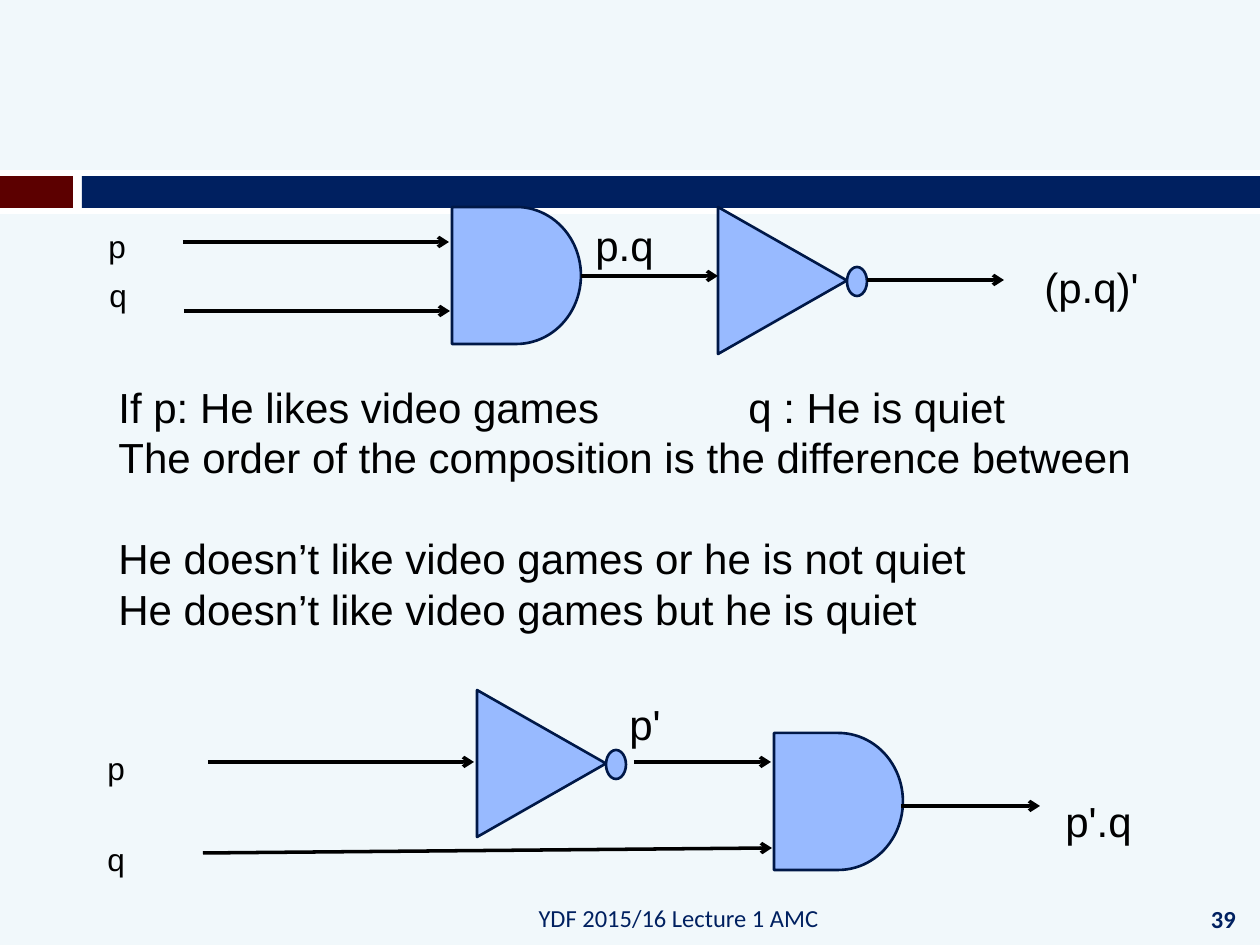
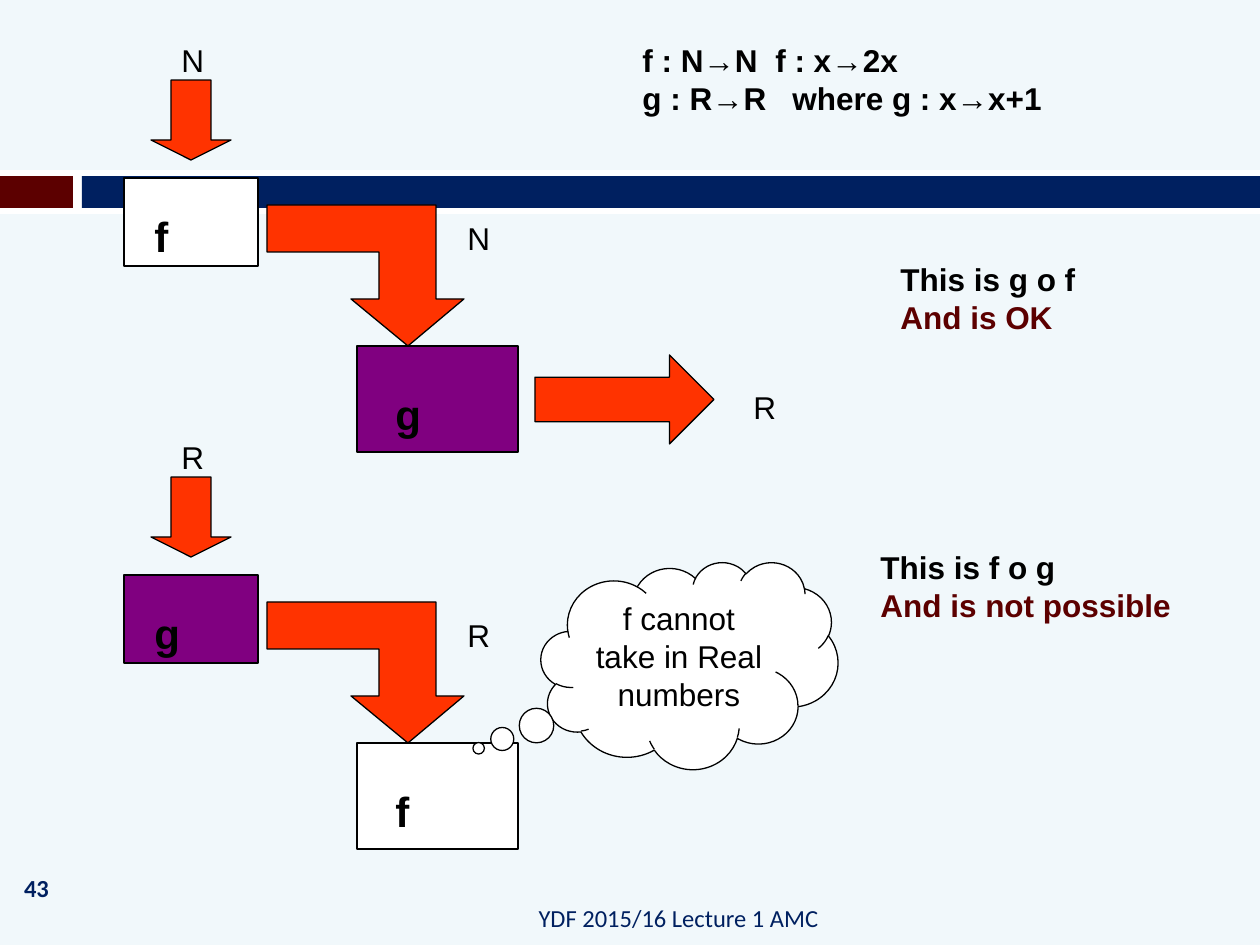
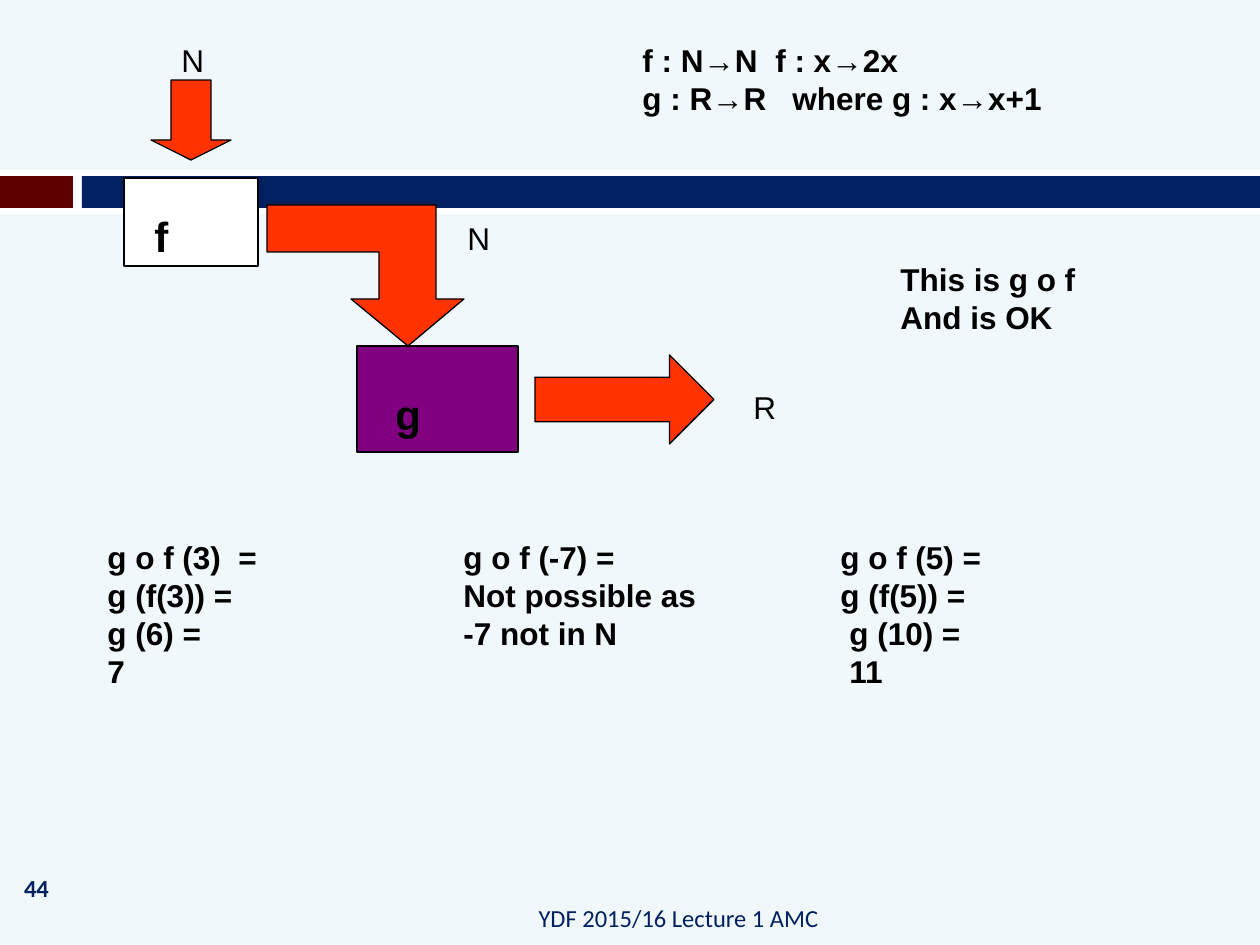
from dataclasses import dataclass

import lxml.etree
import pptx
import pptx.dml.color
import pptx.enum.shapes
import pptx.enum.text
import pptx.oxml.ns
import pptx.util

RGBColor = pptx.dml.color.RGBColor
SHAPE = pptx.enum.shapes.MSO_SHAPE
ALIGN = pptx.enum.text.PP_ALIGN
ANCHOR = pptx.enum.text.MSO_ANCHOR
qn = pptx.oxml.ns.qn

SCALE = 914400 / 126
SLIDE_WIDTH, SLIDE_HEIGHT = 1260, 945

BACKGROUND = RGBColor(0xF1, 0xF8, 0xFB)
WHITE = RGBColor(0xFF, 0xFF, 0xFF)
BLACK = RGBColor(0x00, 0x00, 0x00)
MAROON = RGBColor(0x5C, 0x00, 0x00)
NAVY = RGBColor(0x00, 0x20, 0x60)
GATE_FILL = RGBColor(0x98, 0xBA, 0xFF)
GATE_LINE = RGBColor(0x00, 0x18, 0x47)
PURPLE = RGBColor(0x80, 0x00, 0x80)
ORANGE = RGBColor(0xFF, 0x33, 0x00)

FOOTER = "YDF 2015/16 Lecture 1 AMC"
FUNCTION_FILLS = {"f": WHITE, "g": PURPLE}
ELBOW_POINTS = [(408, 346), (351, 299), (379, 299), (379, 252), (267, 252),
                (267, 205), (436, 205), (436, 299), (464, 299)]


@dataclass
class Line:
    text: str
    tabs: tuple = ()
    space_before: int = 0
    indent: int = 0
    color: RGBColor = BLACK


def px(length):
    return pptx.util.Emu(round(length * SCALE))


def box(left, top, width, height):
    return px(left), px(top), px(width), px(height)


def write_lines(frame, lines, size, bold=False, font="Arial", align=ALIGN.LEFT):
    frame.word_wrap = True
    for index, line in enumerate(lines):
        if isinstance(line, str):
            line = Line(line)
        paragraph = frame.paragraphs[0] if index == 0 else frame.add_paragraph()
        paragraph.text = line.text
        paragraph.alignment = align
        properties = paragraph._p.get_or_add_pPr()
        if line.indent:
            properties.set("marL", str(px(line.indent)))
        if line.tabs:
            tab_list = lxml.etree.SubElement(properties, qn("a:tabLst"))
            for stop in line.tabs:
                lxml.etree.SubElement(tab_list, qn("a:tab"), pos=str(px(stop)), algn="l")
        if line.space_before:
            paragraph.space_before = pptx.util.Pt(line.space_before)
        paragraph.font.name = font
        paragraph.font.size = pptx.util.Pt(size)
        paragraph.font.bold = bold
        paragraph.font.color.rgb = line.color


def add_text(slide, bounds, lines, size=18, **style):
    frame = slide.shapes.add_textbox(*box(*bounds)).text_frame
    write_lines(frame, lines, size, **style)
    return frame


def paint(shape, fill, outline=None, width=0.75):
    shape.shadow.inherit = False
    shape.fill.solid()
    shape.fill.fore_color.rgb = fill
    if outline is None:
        shape.line.fill.background()
    else:
        shape.line.color.rgb = outline
        shape.line.width = pptx.util.Pt(width)


def add_shape(slide, kind, bounds, fill, outline=BLACK, width=0.75, adjustments=()):
    shape = slide.shapes.add_shape(kind, *box(*bounds))
    paint(shape, fill, outline, width)
    for index, value in enumerate(adjustments):
        shape.adjustments[index] = value
    return shape


def add_wire(slide, start_x, start_y, end_x, end_y):
    wire = slide.shapes.add_connector(
        pptx.enum.shapes.MSO_CONNECTOR.STRAIGHT,
        px(start_x), px(start_y), px(end_x), px(end_y))
    wire.line.color.rgb = BLACK
    wire.line.width = pptx.util.Pt(2)
    lxml.etree.SubElement(wire.line._get_or_add_ln(), qn("a:tailEnd"), type="arrow")
    lxml.etree.SubElement(wire._element.spPr, qn("a:effectLst"))


def add_gate_part(slide, kind, bounds):
    return add_shape(slide, kind, bounds, GATE_FILL, GATE_LINE, 1.5)


def add_and_gate(slide, left, top):
    add_gate_part(slide, SHAPE.FLOWCHART_DELAY, (left, top, 129, 137))


def add_not_gate(slide, left, top):
    triangle = add_gate_part(slide, SHAPE.FLOWCHART_EXTRACT, (left - 9, top + 9, 147, 129))
    triangle.rotation = 90
    add_gate_part(slide, SHAPE.OVAL, (left + 129, top + 60, 20, 29))


def add_footer_text(slide, bounds, text, bold, align):
    frame = add_text(slide, bounds, [Line(text, color=NAVY)], size=14,
                     bold=bold, font="Calibri", align=align)
    frame.vertical_anchor = ANCHOR.MIDDLE


def add_base_slide(presentation, number, number_left=0, number_top=861):
    slide = presentation.slides.add_slide(presentation.slide_layouts.get_by_name("Blank"))
    for bounds, fill in [((0, 170, SLIDE_WIDTH, 44), WHITE),
                         ((0, 176, 73, 32), MAROON),
                         ((82, 176, 1178, 32), NAVY)]:
        add_shape(slide, SHAPE.RECTANGLE, bounds, fill, outline=None)
    add_footer_text(slide, (84, 893, 747, 50), FOOTER, False, ALIGN.RIGHT)
    add_footer_text(slide, (number_left, number_top, 73, 53), str(number), True, ALIGN.CENTER)
    return slide


def add_elbow_arrow(slide, top):
    points = [(x, y + top) for x, y in ELBOW_POINTS]
    builder = slide.shapes.build_freeform(*points[0], scale=SCALE)
    builder.add_line_segments(points[1:], close=True)
    paint(builder.convert_to_shape(), ORANGE, BLACK)


def add_composition(slide, top, domain, first, middle, second):
    add_shape(slide, SHAPE.RECTANGLE, (124, top + 178, 134, 88), FUNCTION_FILLS[first])
    add_shape(slide, SHAPE.RECTANGLE, (357, top + 346, 161, 106), FUNCTION_FILLS[second])
    add_elbow_arrow(slide, top)
    add_shape(slide, SHAPE.DOWN_ARROW, (151, top + 80, 80, 80), ORANGE, adjustments=(0.5, 0.25))
    add_text(slide, (142, top + 204, 81, 63), [first], size=24, bold=True)
    add_text(slide, (383, top + 382, 81, 63), [second], size=24, bold=True)
    add_text(slide, (169, top + 35, 63, 50), [domain])
    add_text(slide, (455, top + 213, 89, 50), [middle])


def add_valid_composition(slide, verdict_color):
    add_composition(slide, 0, "N", "f", "N", "g")
    add_shape(slide, SHAPE.RIGHT_ARROW, (535, 355, 179, 89), ORANGE, adjustments=(0.5, 0.5))
    add_text(slide, (741, 382, 107, 50), ["R"])
    add_text(slide, (630, 35, 630, 88),
             [Line("f : N→N\tf : x→2x", tabs=(133,)),
              Line("g : R→R\twhere g : x→x+1", tabs=(150,))], bold=True)
    add_text(slide, (888, 254, 220, 88),
             ["This is g o f", Line("And is OK", color=verdict_color)], bold=True)


def add_logic_slide(presentation):
    slide = add_base_slide(presentation, 39, 1187, 892)
    add_and_gate(slide, 452, 207)
    add_not_gate(slide, 718, 207)
    add_not_gate(slide, 477, 690)
    add_and_gate(slide, 774, 733)
    for wire in [(183, 242, 449, 242), (184, 311, 450, 311), (581, 276, 718, 276),
                 (867, 280, 1004, 280), (208, 762, 474, 762), (634, 762, 771, 762),
                 (901, 806, 1040, 806), (203, 853, 772, 848)]:
        add_wire(slide, *wire)
    for text, left, top in [("p", 96, 221), ("q", 97, 270), ("p", 95, 743), ("q", 95, 834)]:
        add_text(slide, (left, top, 76, 50), [text])
    for text, left, top in [("p.q", 583, 213), ("(p.q)'", 1032, 255),
                            ("p'.q", 1053, 789), ("p'", 617, 692)]:
        add_text(slide, (left, top, 146, 64), [text], size=24)
    add_text(slide, (106, 375, 1087, 267),
             [Line("If p: He likes video games\t\tq : He is quiet", tabs=(504, 630)),
              "The order of the composition is the difference between",
              Line("He doesn’t like video games or he is not quiet", space_before=29),
              "He doesn’t like video games but he is quiet"], size=24)


def add_order_slide(presentation):
    slide = add_base_slide(presentation, 43)
    add_valid_composition(slide, MAROON)
    add_composition(slide, 397, "R", "g", "R", "f")
    cloud = add_shape(slide, SHAPE.CLOUD_CALLOUT, (541, 562, 297, 207), WHITE,
                      adjustments=(-0.71, 0.4))
    cloud.text_frame.vertical_anchor = ANCHOR.TOP
    write_lines(cloud.text_frame, ["f cannot take in Real numbers"], 18, align=ALIGN.CENTER)
    add_text(slide, (868, 542, 335, 126),
             ["This is f o g", Line("And is not possible", color=MAROON)], bold=True)


def add_examples_slide(presentation):
    slide = add_base_slide(presentation, 44)
    add_valid_composition(slide, BLACK)
    examples = [
        (95, [Line("g o f (3)\t=", tabs=(131,)), "g (f(3)) =", "g (6) =", "7"]),
        (451, ["g o f (-7) =", "Not possible as", "-7 not in N"]),
        (828, ["g o f (5) =", "g (f(5)) =",
               Line("g (10) =", indent=9), Line("11", indent=9)]),
    ]
    for left, lines in examples:
        add_text(slide, (left, 532, 348, 164), lines, bold=True)


def main():
    presentation = pptx.Presentation()
    presentation.slide_width = px(SLIDE_WIDTH)
    presentation.slide_height = px(SLIDE_HEIGHT)
    background = presentation.slide_master.background.fill
    background.solid()
    background.fore_color.rgb = BACKGROUND
    add_logic_slide(presentation)
    add_order_slide(presentation)
    add_examples_slide(presentation)
    presentation.save("out.pptx")


if __name__ == "__main__":
    main()
